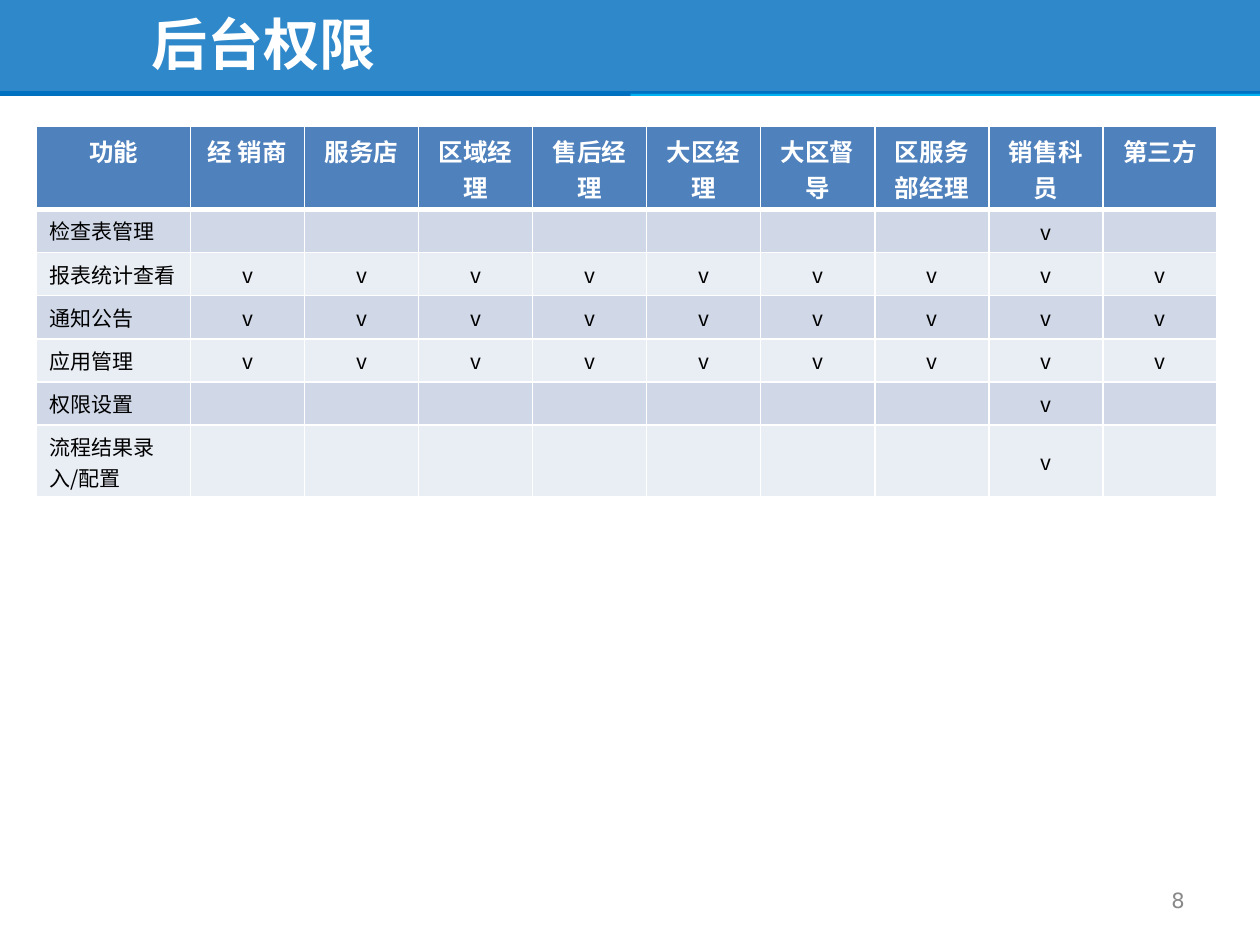
import pptx
import pptx.dml.color
import pptx.enum.shapes
import pptx.enum.text
import pptx.oxml
import pptx.oxml.ns
import pptx.util
from lxml import etree

Cm, Pt = pptx.util.Cm, pptx.util.Pt
ALIGN = pptx.enum.text.PP_ALIGN
MIDDLE = pptx.enum.text.MSO_ANCHOR.MIDDLE
CJK_FONT = "Noto Sans CJK SC"

TITLE = "后台权限"
PAGE_NUMBER = "8"
ROLES = ["经 销商", "服务店", "区域经理", "售后经理", "大区经理",
         "大区督导", "区服务部经理", "销售科员", "第三方"]
CJK_HEADINGS = {"大区督导", "区服务部经理"}
CLERK_ONLY = {"销售科员"}
FUNCTIONS = [
    ("检查表管理", CLERK_ONLY),
    ("报表统计查看", set(ROLES)),
    ("通知公告", set(ROLES)),
    ("应用管理", set(ROLES)),
    ("权限设置", CLERK_ONLY),
    ("流程结果录入/配置", CLERK_ONLY),
]
COLORS = {
    "banner": "2E88CA", "stripe_light": "00B0F0", "stripe_dark": "0070C0",
    "header": "4F81BD", "odd": "D0D8E8", "even": "E9EDF4",
    "white": "FFFFFF", "black": "000000", "grey": "898989",
}
FUNCTION_WIDTH, ROLE_WIDTH = Cm(3.1), Cm(2.3)
HEADER_HEIGHT, ROW_HEIGHT, LAST_HEIGHT = Cm(1.67), Cm(0.87), Cm(1.45)


def rgb(name):
    return pptx.dml.color.RGBColor.from_string(COLORS[name])


def write(frame, text, size, color, font=CJK_FONT, bold=False, align=ALIGN.LEFT):
    frame.text = text
    para = frame.paragraphs[0]
    para.alignment = align
    for span in para.runs:
        span.font.size, span.font.bold, span.font.name = Pt(size), bold, font
        span.font.color.rgb = rgb(color)
        east_asian = etree.SubElement(span.font._element, pptx.oxml.ns.qn("a:ea"))
        east_asian.set("typeface", CJK_FONT)
    if not text:  # an empty cell still takes its row height from this size
        end = etree.SubElement(para._p, pptx.oxml.ns.qn("a:endParaRPr"))
        end.set("sz", str(size * 100))


def add_bar(page, top, height):
    bar = page.shapes.add_shape(pptx.enum.shapes.MSO_SHAPE.RECTANGLE,
                                0, top, Cm(25.4), height)
    bar.shadow.inherit = False
    bar.line.fill.background()
    bar.fill.solid()
    bar.fill.fore_color.rgb = rgb("banner")
    return bar


def add_corner_gradient(shape):
    """Fill with a rectangular gradient centred on the bottom right corner."""
    stops = [(0, "stripe_light"), (50000, "stripe_light"), (100000, "stripe_dark")]
    stop_xml = "".join(f'<a:gs pos="{pos}"><a:srgbClr val="{COLORS[name]}"/></a:gs>'
                       for pos, name in stops)
    gradient = pptx.oxml.parse_xml(
        f'<a:gradFill {pptx.oxml.ns.nsdecls("a")} rotWithShape="1">'
        f'<a:gsLst>{stop_xml}</a:gsLst><a:path path="rect">'
        '<a:fillToRect l="100000" t="100000"/></a:path></a:gradFill>')
    properties = shape._element.spPr
    properties.replace(properties.find(pptx.oxml.ns.qn("a:solidFill")), gradient)


def add_text(page, left, top, width, height, text, size, color, **style):
    box = page.shapes.add_textbox(left, top, width, height)
    box.text_frame.word_wrap = True
    box.text_frame.vertical_anchor = MIDDLE
    write(box.text_frame, text, size, color, **style)


def paint_cell(cell, fill, top, bottom):
    """Set white borders, widths in points, and then the fill."""
    properties = cell._tc.get_or_add_tcPr()
    for side, width in (("L", 1), ("R", 1), ("T", top), ("B", bottom)):
        properties.append(pptx.oxml.parse_xml(
            f'<a:ln{side} {pptx.oxml.ns.nsdecls("a")} w="{Pt(width)}"><a:solidFill>'
            f'<a:srgbClr val="{COLORS["white"]}"/></a:solidFill></a:ln{side}>'))
    cell.fill.solid()
    cell.fill.fore_color.rgb = rgb(fill)


def add_permissions(page):
    heights = [HEADER_HEIGHT] + [ROW_HEIGHT] * (len(FUNCTIONS) - 1) + [LAST_HEIGHT]
    widths = [FUNCTION_WIDTH] + [ROLE_WIDTH] * len(ROLES)
    table = page.shapes.add_table(len(heights), len(widths), Cm(0.74), Cm(2.55),
                                  sum(widths), sum(heights)).table
    for column, width in zip(table.columns, widths):
        column.width = width
    for row, height in zip(table.rows, heights):
        row.height = height

    for index, heading in enumerate(["功能"] + ROLES):
        cell = table.cell(0, index)
        font = CJK_FONT if heading in CJK_HEADINGS else "Arial"
        write(cell.text_frame, heading, 14, "white", font, True, ALIGN.CENTER)
        paint_cell(cell, "header", 1, 3)

    for number, (function, allowed) in enumerate(FUNCTIONS, 1):
        marks = ["v" if role in allowed else "" for role in ROLES]
        for index, text in enumerate([function] + marks):
            cell = table.cell(number, index)
            align = ALIGN.CENTER if index else ALIGN.LEFT
            write(cell.text_frame, text, 12, "black", align=align)
            if index:
                cell.vertical_anchor = MIDDLE
            paint_cell(cell, "odd" if number % 2 else "even",
                       3 if number == 1 else 1, 1)


def main():
    deck = pptx.Presentation()
    deck.slide_width, deck.slide_height = Cm(25.4), Cm(19.05)
    page = deck.slides.add_slide(deck.slide_layouts[6])
    add_bar(page, 0, Cm(1.93))
    add_corner_gradient(add_bar(page, Cm(1.83), Cm(0.1)))
    add_text(page, Cm(2.8), Cm(0.08), Cm(14.75), Cm(1.58), TITLE, 32, "white", bold=True)
    add_text(page, Cm(18.2), Cm(17.65), Cm(5.93), Cm(1.01), PAGE_NUMBER, 12, "grey",
             font="DejaVu Sans", align=ALIGN.RIGHT)
    add_permissions(page)
    deck.save("out.pptx")


if __name__ == "__main__":
    main()
